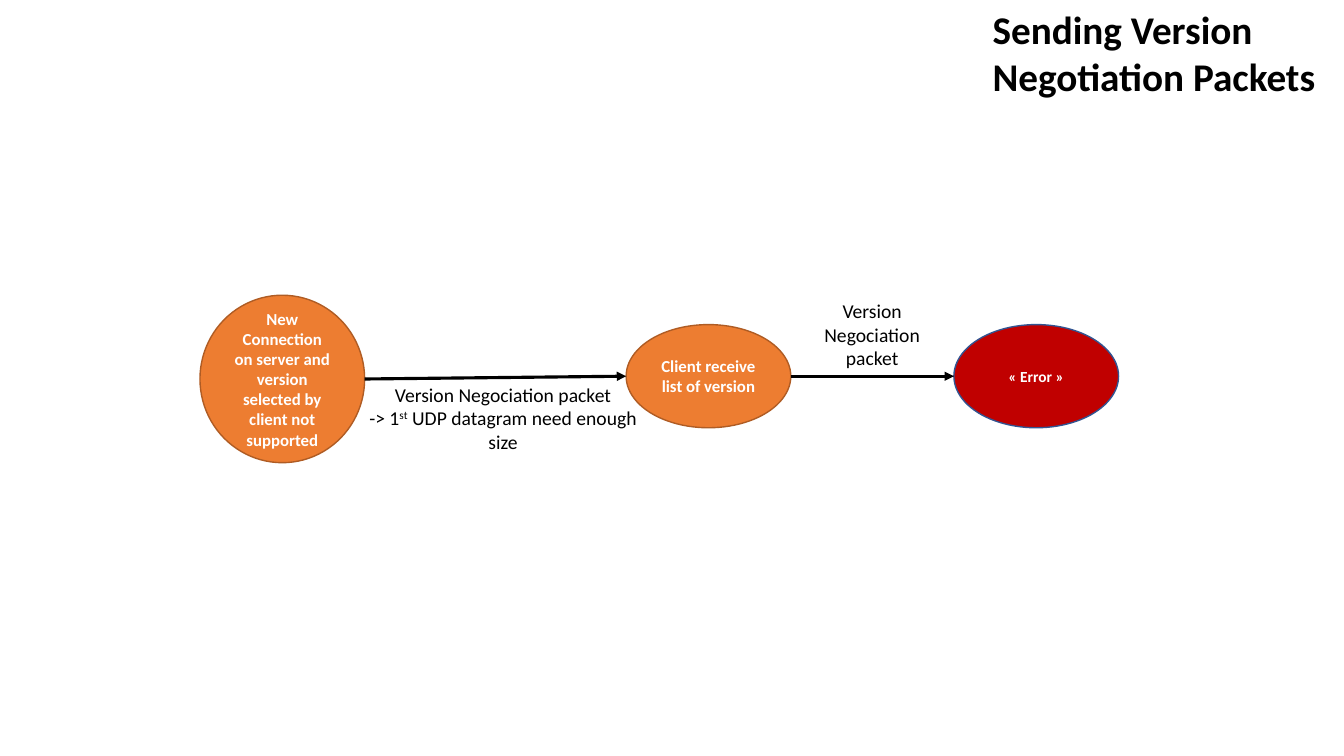
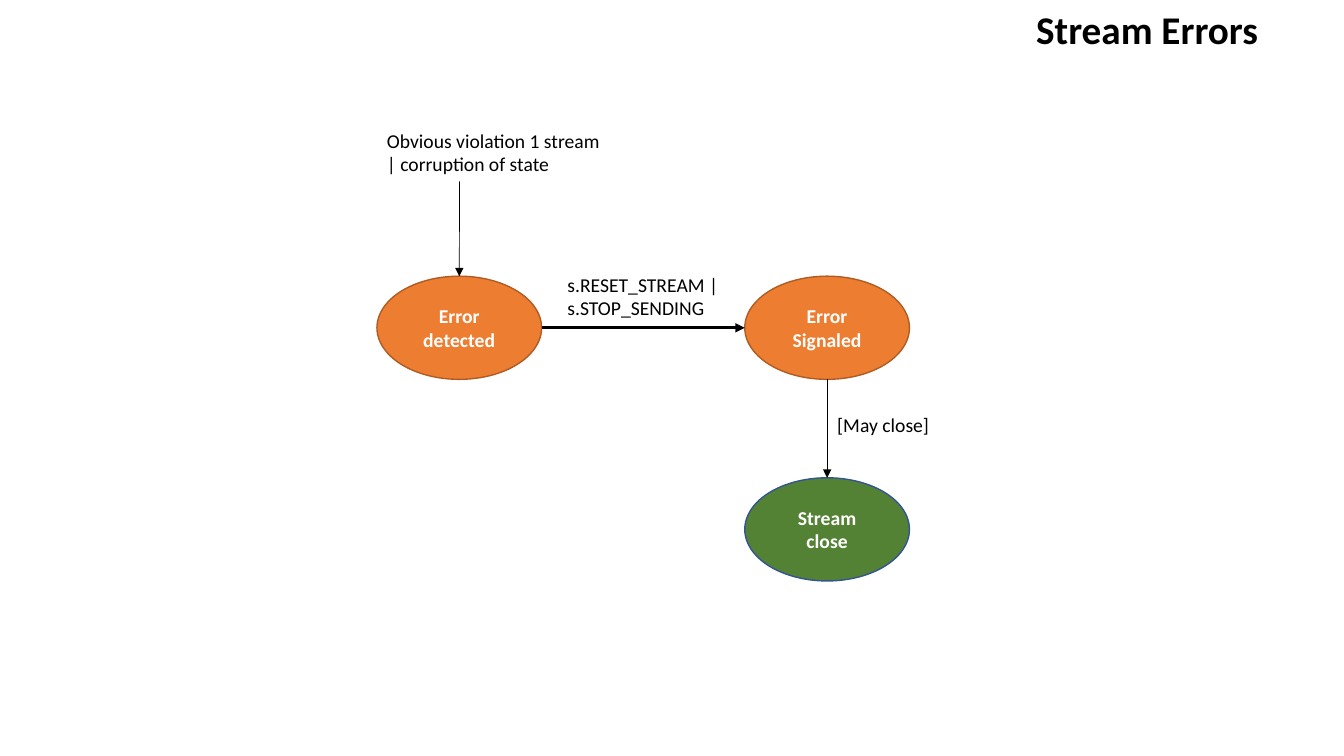
from lxml import etree
from pptx import Presentation
from pptx.dml.color import RGBColor
from pptx.enum.shapes import MSO_CONNECTOR, MSO_SHAPE
from pptx.enum.text import MSO_ANCHOR, MSO_AUTO_SIZE, PP_ALIGN
from pptx.oxml.ns import qn
from pptx.util import Cm, Pt

FONT = "Calibri"
BLACK = RGBColor(0x00, 0x00, 0x00)
WHITE = RGBColor(0xFF, 0xFF, 0xFF)
ORANGE = RGBColor(0xED, 0x7D, 0x31)
BROWN = RGBColor(0xAF, 0x5C, 0x24)
RED = RGBColor(0xC0, 0x00, 0x00)
GREEN = RGBColor(0x54, 0x82, 0x35)
BLUE = RGBColor(0x32, 0x54, 0x91)

STEP, FAILED, CLOSED = (ORANGE, BROWN), (RED, BLUE), (GREEN, BLUE)
OVAL = (4.15, 2.6)
TOP, LEFT, BOTTOM, RIGHT = range(4)
THICK, THIN = 2.25, 0.5

SLIDES = [
    {
        "title": ("Sending Version Negotiation Packets", (24.76, 0, 9.11, 2.64)),
        "states": {
            "unsupported": (
                "New Connection on server and version selected by client not supported",
                (5.04, 7.44), (4.15, 4.22), STEP, 12),
            "client": ("Client receive list of version", (15.78, 8.18), OVAL, STEP, 12),
            "error": ("« Error »", (24.04, 8.18), OVAL, FAILED, 11),
        },
        "arrows": [
            ("unsupported", RIGHT, "client", LEFT, THICK),
            ("client", RIGHT, "error", LEFT, THICK),
        ],
        "labels": [
            ([["Version Negociation packet"],
              ["-> 1", "st", " UDP datagram need enough size"]],
             (8.87, 9.52, 7.62, 2.06), PP_ALIGN.CENTER, True),
            ([["Version Negociation packet"]],
             (20.42, 7.41, 3.12, 2.06), PP_ALIGN.CENTER, True),
        ],
    },
    {
        "title": ("Stream Errors", (25.86, 0, 8.0, 1.45)),
        "states": {
            "detected": ("Error detected", (9.5, 6.96), OVAL, STEP, 14),
            "signaled": ("Error Signaled", (18.77, 6.96), OVAL, STEP, 14),
            "closed": ("Stream close", (18.77, 12.04), OVAL, CLOSED, 14),
        },
        "arrows": [
            ((11.58, 4.57), None, "detected", TOP, THIN),
            ("detected", RIGHT, "signaled", LEFT, THICK),
            ("signaled", BOTTOM, "closed", TOP, THIN),
        ],
        "labels": [
            ([["Obvious violation 1 stream"], ["| corruption of state"]],
             (9.5, 3.12, 5.94, 1.45), PP_ALIGN.LEFT, False),
            ([["s.RESET_STREAM |"], ["s.STOP_SENDING"]],
             (14.05, 6.74, 4.34, 1.45), PP_ALIGN.LEFT, False),
            ([["[May close]"]], (20.85, 10.28, 2.84, 0.86), PP_ALIGN.LEFT, False),
        ],
    },
]


def style(font, size, color, bold=False):
    font.name, font.size, font.bold = FONT, Pt(size), bold
    font.color.rgb = color


def set_title(slide, text, box):
    title = slide.shapes.title
    title.left, title.top, title.width, title.height = map(Cm, box)
    frame = title.text_frame
    frame.text = text
    frame.word_wrap = True
    frame.auto_size = MSO_AUTO_SIZE.NONE
    frame.vertical_anchor = MSO_ANCHOR.TOP
    frame.paragraphs[0].alignment = PP_ALIGN.LEFT
    style(frame.paragraphs[0].runs[0].font, 28, BLACK, True)


def add_state(slide, text, corner, extent, colors, size):
    state = slide.shapes.add_shape(MSO_SHAPE.OVAL, *map(Cm, corner + extent))
    state.shadow.inherit = False
    fill, outline = colors
    state.fill.solid()
    state.fill.fore_color.rgb = fill
    state.line.color.rgb = outline
    state.line.width = Pt(1)
    frame = state.text_frame
    frame.text = text
    frame.word_wrap = True
    frame.vertical_anchor = MSO_ANCHOR.MIDDLE
    frame.paragraphs[0].alignment = PP_ALIGN.CENTER
    style(frame.paragraphs[0].runs[0].font, size, WHITE, True)
    return state


def add_arrow(slide, states, start, start_side, end, end_side, weight):
    x, y = (0, 0) if start in states else start
    arrow = slide.shapes.add_connector(MSO_CONNECTOR.STRAIGHT, Cm(x), Cm(y), Cm(x), Cm(y))
    if start in states:
        arrow.begin_connect(states[start], start_side)
    arrow.end_connect(states[end], end_side)
    # An oval has eight connection sites, so each side has twice its index.
    for site in arrow._element.iter(qn("a:stCxn"), qn("a:endCxn")):
        site.set("idx", str(2 * int(site.get("idx"))))
    arrow.line.color.rgb = BLACK
    arrow.line.width = Pt(weight)
    etree.SubElement(arrow.line._get_or_add_ln(), qn("a:tailEnd"), type="triangle")
    etree.SubElement(arrow._element.spPr, qn("a:effectLst"))


def add_label(slide, lines, box, alignment, wrap):
    frame = slide.shapes.add_textbox(*map(Cm, box)).text_frame
    frame.word_wrap = wrap
    for number, pieces in enumerate(lines):
        paragraph = frame.add_paragraph() if number else frame.paragraphs[0]
        paragraph.alignment = alignment
        for position, piece in enumerate(pieces):
            run = paragraph.add_run()
            run.text = piece
            style(run.font, 14, BLACK)
            if position % 2:
                run.font._element.set("baseline", "30000")


def main():
    deck = Presentation()
    deck.slide_width, deck.slide_height = Cm(33.87), Cm(19.05)
    title_only = deck.slide_layouts[5]
    for content in SLIDES:
        slide = deck.slides.add_slide(title_only)
        set_title(slide, *content["title"])
        states = {key: add_state(slide, *state) for key, state in content["states"].items()}
        for arrow in content["arrows"]:
            add_arrow(slide, states, *arrow)
        for label in content["labels"]:
            add_label(slide, *label)
    deck.save("out.pptx")


if __name__ == "__main__":
    main()
